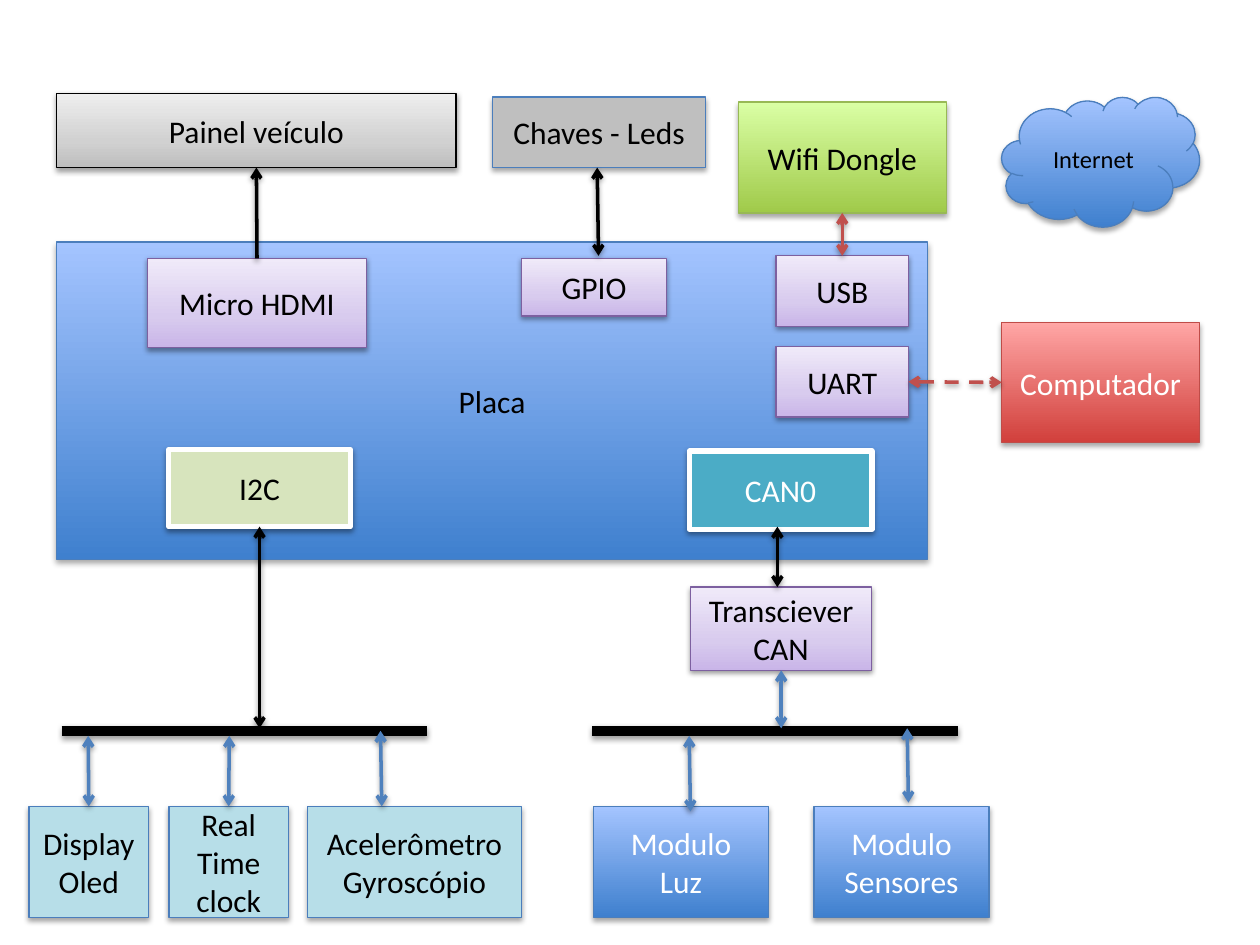
import pptx
import pptx.dml.color
import pptx.enum.dml
import pptx.enum.shapes
import pptx.enum.text
import pptx.oxml
import pptx.oxml.ns
import pptx.util

# Slide grid: 100 columns by 75 rows, square cells
SLIDE_WIDTH = pptx.util.Inches(10)
COLUMNS, ROWS = 100, 75
CELL = SLIDE_WIDTH / COLUMNS
TOP, LEFT, BOTTOM, RIGHT = 0, 1, 2, 3

THEME = {
    "font": "Calibri", "size": 18, "small": 14,
    "black": "000000", "white": "FFFFFF", "blue": "4F81BD", "red": "C0504D",
    "edge": 0.75, "frame": 3, "arrow": 2, "bus": 6,
}
BLUE_EDGE = "4B7EBC"
# Shadows: opacity %, distance pt
SOFT, DEEP = (35, 1.8), (38, 1.6)
# Styles: fill (colour, or gradient stops from the bottom up), line, line width, text, shadow
STYLES = {
    "board": ([(0, "3F80CE"), (100, "A4C4FF")], BLUE_EDGE, "edge", "black", SOFT),
    "module": ([(0, "3F80CE"), (100, "A4C4FF")], BLUE_EDGE, "edge", "white", SOFT),
    "port": ([(0, "C9B5E8"), (35, "D8CBEE"), (100, "F0EAF9")], "7D60A0", "edge", "black", DEEP),
    "panel": ([(0, "BDBDBD"), (35, "D1D1D1"), (100, "EEEEEE")], "000000", "edge", "black", DEEP),
    "wifi": ([(0, "A0CA4A"), (100, "DAFFA5")], "98B955", "edge", "black", SOFT),
    "computer": ([(0, "D1403C"), (100, "FFA6A5")], "BF4C48", "edge", "white", SOFT),
    "switches": ("BFBFBF", BLUE_EDGE, "edge", "black", SOFT),
    "device": ("B7DEE8", BLUE_EDGE, "edge", "black", SOFT),
    "i2c": ("D7E4BD", "FFFFFF", "frame", "black", DEEP),
    "can": ("4BACC6", "FFFFFF", "frame", "white", DEEP),
}

# Bottom row of devices shares one top and height
DEVICE_TOP, DEVICE_HEIGHT = 64, 8.8
# name: (text, style, left, top, width, height) in grid cells
BOXES = {
    "board": ("Placa", "board", 4.5, 19.2, 69.1, 25.2),
    "uart": ("UART", "port", 61.6, 27.5, 10.5, 5.6),
    "usb": ("USB", "port", 61.6, 20.3, 10.5, 5.6),
    "gpio": ("GPIO", "port", 41.4, 20.5, 11.5, 4.6),
    "hdmi": ("Micro HDMI", "port", 11.7, 20.5, 17.4, 7.1),
    "i2c": ("I2C", "i2c", 13.4, 35.7, 14.4, 6.1),
    "can": ("CAN0", "can", 54.7, 35.8, 14.5, 6.2),
    "transceiver": ("Transciever\nCAN", "port", 54.8, 46.6, 14.4, 6.6),
    "panel": ("Painel veículo", "panel", 4.5, 7.4, 31.7, 5.9),
    "switches": ("Chaves - Leds", "switches", 39.1, 7.7, 16.9, 5.6),
    "wifi": ("Wifi Dongle", "wifi", 58.6, 8.1, 16.5, 8.8),
    "internet": ("Internet", "board", 79.5, 7.7, 15.7, 10.3),
    "computer": ("Computador", "computer", 79.5, 25.6, 15.7, 9.5),
    "display": ("Display\nOled", "device", 2.3, DEVICE_TOP, 9.5, DEVICE_HEIGHT),
    "clock": ("Real\nTime clock", "device", 13.4, DEVICE_TOP, 9.5, DEVICE_HEIGHT),
    "motion": ("Acelerômetro\nGyroscópio", "device", 24.4, DEVICE_TOP, 17, DEVICE_HEIGHT),
    "light": ("Modulo\nLuz", "module", 47.1, DEVICE_TOP, 13.9, DEVICE_HEIGHT),
    "sensors": ("Modulo\nSensores", "module", 64.6, DEVICE_TOP, 13.9, DEVICE_HEIGHT),
}
BUS_ROW, BUS_LENGTH = 58, 29
BUS_LEFTS = [47, 4.9]
# Arrows: start, end, colour, options; an end is (box, side) or (column, row)
ARROWS = [
    (("display", TOP), (7, 58.4), "blue", {}),
    (("clock", TOP), (18.2, 58.4), "blue", {}),
    ((30.3, 64), (30.2, 58), "blue", {}),
    ((54.8, 64.4), (54.7, 58.4), "blue", {}),
    ((72.1, 63.7), (72, 57.8), "blue", {}),
    (("transceiver", BOTTOM), (62, 57.8), "blue", {}),
    ((20.6, 57.8), ("i2c", BOTTOM), "black", {}),
    ((61.7, 46.6), (61.7, 41.8), "black", {}),
    (("hdmi", TOP), ("panel", BOTTOM), "black", {"heads": ["tailEnd"]}),
    ((47.5, 20.3), (47.4, 13.3), "black", {}),
    (("usb", TOP), ("wifi", BOTTOM), "red", {}),
    (("uart", RIGHT), ("computer", LEFT), "red", {"dashed": True}),
]


def cells(count):
    return round(count * CELL)


def colour(code):
    return pptx.dml.color.RGBColor.from_string(code)


def xml(markup):
    tag, rest = markup.split(" ", 1)
    return pptx.oxml.parse_xml(f"{tag} {pptx.oxml.ns.nsdecls('a')} {rest}")


def add_shadow(shape, opacity, distance):
    """Add a downward shadow; call after the line is set."""
    shape.element.spPr.append(xml(
        f'<a:effectLst ><a:outerShdw blurRad="{pptx.util.Pt(3.1)}" '
        f'dist="{pptx.util.Pt(distance)}" dir="5400000" rotWithShape="0">'
        f'<a:srgbClr val="000000"><a:alpha val="{opacity * 1000}"/></a:srgbClr>'
        '</a:outerShdw></a:effectLst>'))


def set_fill(fill, paint):
    if isinstance(paint, str):
        fill.solid()
        fill.fore_color.rgb = colour(paint)
        return
    fill.gradient()
    fill.gradient_angle = 90
    stops = fill._xPr.find(pptx.oxml.ns.qn("a:gradFill")).find(pptx.oxml.ns.qn("a:gsLst"))
    for stop in list(stops):
        stops.remove(stop)
    for position, code in paint:
        stops.append(xml(f'<a:gs pos="{position * 1000}"><a:srgbClr val="{code}"/></a:gs>'))


def set_line(line, code, width):
    line.color.rgb = colour(code)
    line.width = pptx.util.Pt(THEME[width])


def add_box(slide, name, text, style, *bounds):
    paint, edge, width, text_colour, shadow = STYLES[style]
    cloud = name == "internet"
    presets = pptx.enum.shapes.MSO_SHAPE
    shape = slide.shapes.add_shape(
        presets.CLOUD if cloud else presets.RECTANGLE, *map(cells, bounds))
    set_fill(shape.fill, paint)
    set_line(shape.line, edge, width)
    add_shadow(shape, *shadow)
    frame = shape.text_frame
    frame.text = text
    frame.word_wrap = True
    frame.vertical_anchor = pptx.enum.text.MSO_ANCHOR.MIDDLE
    font_format = {"name": THEME["font"],
                   "size": pptx.util.Pt(THEME["small" if cloud else "size"])}
    for paragraph in frame.paragraphs:
        paragraph.alignment = pptx.enum.text.PP_ALIGN.CENTER
        font = paragraph.runs[0].font
        for attribute, value in font_format.items():
            setattr(font, attribute, value)
        font.color.rgb = colour(THEME[text_colour])
    return shape


def add_line(slide, start, end, code, width, heads=(), dashed=False, boxes=None):
    """Draw a straight line, joining each end that names a box."""
    joined = [isinstance(place[0], str) for place in (start, end)]
    points = [(0, 0) if join else place for place, join in zip((start, end), joined)]
    line = slide.shapes.add_connector(
        pptx.enum.shapes.MSO_CONNECTOR.STRAIGHT,
        *(cells(value) for point in points for value in point))
    connects = (line.begin_connect, line.end_connect)
    for place, join, connect in zip((start, end), joined, connects):
        if join:
            connect(boxes[place[0]], place[1])
    set_line(line.line, code, width)
    if dashed:
        line.line.dash_style = pptx.enum.dml.MSO_LINE.DASH
    for head in heads:
        line.line._get_or_add_ln().append(xml(f'<a:{head} type="arrow"/>'))
    add_shadow(line, *DEEP)


def main():
    presentation = pptx.Presentation()
    presentation.slide_width = SLIDE_WIDTH
    presentation.slide_height = cells(ROWS)
    slide = presentation.slides.add_slide(presentation.slide_layouts[6])
    boxes = {name: add_box(slide, name, *box) for name, box in BOXES.items()}
    for left in BUS_LEFTS:
        add_line(slide, (left, BUS_ROW), (left + BUS_LENGTH, BUS_ROW), THEME["black"], "bus")
    for start, end, tone, options in ARROWS:
        settings = {"heads": ["headEnd", "tailEnd"], **options}
        add_line(slide, start, end, THEME[tone], "arrow", boxes=boxes, **settings)
    presentation.save("out.pptx")


if __name__ == "__main__":
    main()
